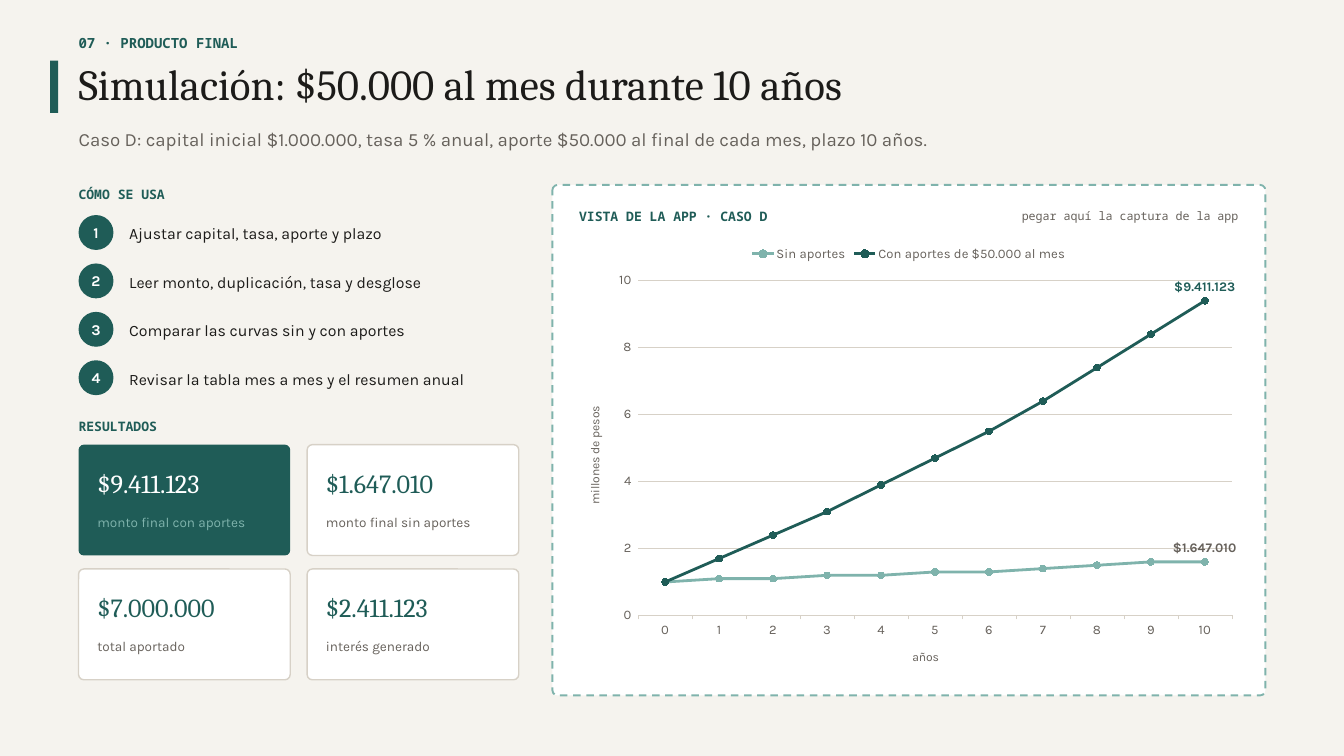
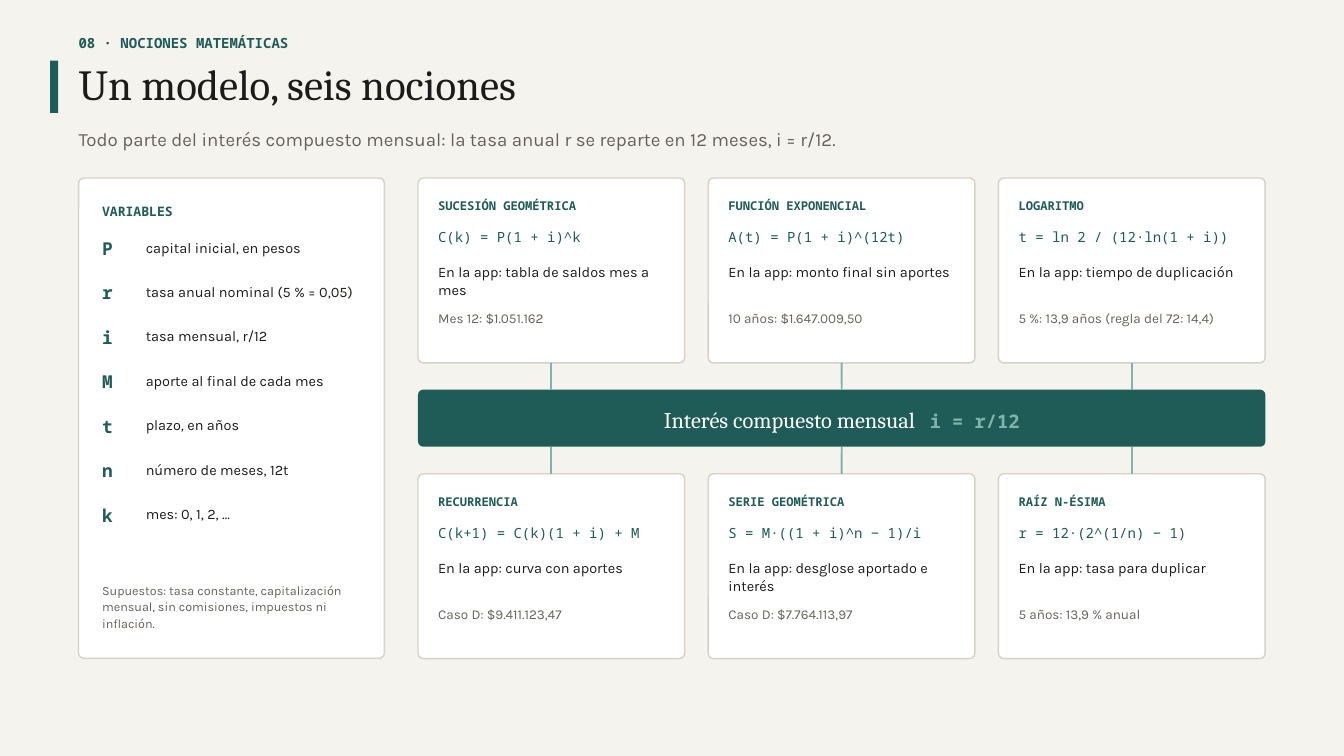
from lxml import etree
from pptx import Presentation
from pptx.chart.data import CategoryChartData
from pptx.dml.color import RGBColor
from pptx.enum.chart import (XL_CHART_TYPE, XL_LABEL_POSITION, XL_LEGEND_POSITION,
                             XL_MARKER_STYLE, XL_TICK_MARK)
from pptx.enum.dml import MSO_LINE
from pptx.enum.shapes import MSO_CONNECTOR, MSO_SHAPE
from pptx.enum.text import MSO_ANCHOR, MSO_AUTO_SIZE, PP_ALIGN
from pptx.oxml.ns import qn
from pptx.util import Cm, Pt

RECT, ROUNDED, OVAL = MSO_SHAPE.RECTANGLE, MSO_SHAPE.ROUNDED_RECTANGLE, MSO_SHAPE.OVAL
LEFT, CENTER, RIGHT = PP_ALIGN.LEFT, PP_ALIGN.CENTER, PP_ALIGN.RIGHT
TOP, MIDDLE = MSO_ANCHOR.TOP, MSO_ANCHOR.MIDDLE
SIDE_TOP, SIDE_BOTTOM = 0, 2

PAPER, WHITE, BORDER = "F5F3EE", "FFFFFF", "D7D1C7"
GREEN, MINT, INK, GRAY = "1F5C57", "7FB3AC", "1C1B19", "66615B"
SERIF, SANS, MONO = "Cambria", "Karla", "Noto Sans Mono"

MARGIN, CONTENT_WIDTH = 2.97, 44.86
CORNER = 0.2

STEPS = ["Ajustar capital, tasa, aporte y plazo",
         "Leer monto, duplicación, tasa y desglose",
         "Comparar las curvas sin y con aportes",
         "Revisar la tabla mes a mes y el resumen anual"]
RESULTS = [("$9.411.123", "monto final con aportes"),
           ("$1.647.010", "monto final sin aportes"),
           ("$7.000.000", "total aportado"),
           ("$2.411.123", "interés generado")]
# name, values in millions, line colour, end label, end label colour
CURVES = [("Sin aportes", [1, 1.1, 1.1, 1.2, 1.2, 1.3, 1.3, 1.4, 1.5, 1.6, 1.6],
           MINT, "$1.647.010", GRAY),
          ("Con aportes de $50.000 al mes",
           [1, 1.7, 2.4, 3.1, 3.9, 4.7, 5.5, 6.4, 7.4, 8.4, 9.4],
           GREEN, "$9.411.123", GREEN)]
VARIABLES = [("P", "capital inicial, en pesos"),
             ("r", "tasa anual nominal (5 % = 0,05)"),
             ("i", "tasa mensual, r/12"),
             ("M", "aporte al final de cada mes"),
             ("t", "plazo, en años"),
             ("n", "número de meses, 12t"),
             ("k", "mes: 0, 1, 2, …")]
NOTIONS = [("SUCESIÓN GEOMÉTRICA", "C(k) = P(1 + i)^k",
            "En la app: tabla de saldos mes a mes", "Mes 12: $1.051.162"),
           ("FUNCIÓN EXPONENCIAL", "A(t) = P(1 + i)^(12t)",
            "En la app: monto final sin aportes", "10 años: $1.647.009,50"),
           ("LOGARITMO", "t = ln 2 / (12·ln(1 + i))",
            "En la app: tiempo de duplicación", "5 %: 13,9 años (regla del 72: 14,4)"),
           ("RECURRENCIA", "C(k+1) = C(k)(1 + i) + M",
            "En la app: curva con aportes", "Caso D: $9.411.123,47"),
           ("SERIE GEOMÉTRICA", "S = M·((1 + i)^n − 1)/i",
            "En la app: desglose aportado e interés", "Caso D: $7.764.113,97"),
           ("RAÍZ N-ÉSIMA", "r = 12·(2^(1/n) − 1)",
            "En la app: tasa para duplicar", "5 años: 13,9 % anual")]


def color(hex_code):
    return RGBColor.from_string(hex_code)


def add_run(paragraph, text, size=15.5, font=SANS, ink=INK, bold=False):
    run = paragraph.add_run()
    run.text = text
    run.font.size, run.font.name, run.font.bold = Pt(size), font, bold
    run.font.color.rgb = color(ink)
    return run


def write(frame, text, align=LEFT, anchor=TOP, spacing=1.12, **run_format):
    """Fill a text frame without margins and return its paragraph."""
    frame.margin_left = frame.margin_top = frame.margin_right = frame.margin_bottom = 0
    frame.word_wrap = True
    frame.auto_size = MSO_AUTO_SIZE.NONE
    frame.vertical_anchor = anchor
    paragraph = frame.paragraphs[0]
    paragraph.alignment, paragraph.line_spacing = align, spacing
    add_run(paragraph, text, **run_format)
    return paragraph


def add_text(slide, text, x, y, width, height, **text_format):
    box = slide.shapes.add_textbox(Cm(x), Cm(y), Cm(width), Cm(height))
    write(box.text_frame, text, **text_format)


def add_label(slide, text, x, y, width, size=14):
    add_text(slide, text, x, y, width, 0.76, size=size, font=MONO, ink=GREEN, bold=True)


def add_block(slide, kind, x, y, width, height, fill, border=None, weight=1.5):
    block = slide.shapes.add_shape(kind, Cm(x), Cm(y), Cm(width), Cm(height))
    block.shadow.inherit = False
    block.fill.solid()
    block.fill.fore_color.rgb = color(fill)
    if border:
        block.line.color.rgb = color(border)
        block.line.width = Pt(weight)
    else:
        block.line.fill.background()
    if kind == ROUNDED:
        block.adjustments[0] = CORNER / min(width, height)
    return block


def add_link(slide, x, start, end):
    link = slide.shapes.add_connector(MSO_CONNECTOR.STRAIGHT, Cm(x), Cm(start), Cm(x), Cm(end))
    link.line.color.rgb = color(MINT)
    link.line.width = Pt(2)
    etree.SubElement(link._element.spPr, qn("a:effectLst"))
    return link


def start_slide(deck, kicker, title, subtitle):
    slide = deck.slides.add_slide(deck.slide_layouts[5])
    slide.background.fill.solid()
    slide.background.fill.fore_color.rgb = color(PAPER)
    add_label(slide, kicker, MARGIN, 1.22, 35.56, size=15)
    add_block(slide, RECT, 1.9, 2.29, 0.3, 1.98, GREEN)
    heading = slide.shapes.title
    heading.left, heading.top = Cm(MARGIN), Cm(2.18)
    heading.width, heading.height = Cm(CONTENT_WIDTH), Cm(2.16)
    write(heading.text_frame, title, spacing=1.0, size=46, font=SERIF)
    add_text(slide, subtitle, MARGIN, 4.72, CONTENT_WIDTH, 1.9, spacing=1.15, size=20, ink=GRAY)
    return slide


def add_step(slide, number, instruction, y):
    disc = add_block(slide, OVAL, MARGIN, y, 1.32, 1.32, GREEN)
    write(disc.text_frame, str(number), align=CENTER, anchor=MIDDLE, spacing=1.0,
          size=16, ink=WHITE, bold=True)
    add_text(slide, instruction, 4.88, y + 0.25, 14.99, 1.02, size=17)


def add_result(slide, amount, caption, x, y, highlighted):
    fill, border, amount_ink, caption_ink = (
        (GREEN, None, WHITE, MINT) if highlighted else (WHITE, BORDER, GREEN, GRAY))
    add_block(slide, ROUNDED, x, y, 8, 4.19, fill, border)
    add_text(slide, amount, x + 0.71, y + 0.71, 6.73, 1.52, size=28, font=SERIF, ink=amount_ink)
    add_text(slide, caption, x + 0.71, y + 2.54, 6.73, 1.02, size=14.5, ink=caption_ink)


def style_axis(axis, title):
    axis.has_title = True
    write(axis.axis_title.text_frame, title, align=CENTER, spacing=1.0, size=13, ink=GRAY)
    axis.major_tick_mark, axis.minor_tick_mark = XL_TICK_MARK.OUTSIDE, XL_TICK_MARK.NONE


def style_curve(curve, stroke, end_label, label_ink):
    curve.smooth = False
    curve.format.line.color.rgb = color(stroke)
    curve.format.line.width = Pt(3)
    curve.marker.style, curve.marker.size = XL_MARKER_STYLE.CIRCLE, 7
    curve.marker.format.fill.solid()
    curve.marker.format.fill.fore_color.rgb = color(stroke)
    curve.marker.format.line.color.rgb = color(stroke)
    label = curve.points[10].data_label
    write(label.text_frame, end_label, align=CENTER, spacing=1.0,
          size=14, ink=label_ink, bold=True)
    label.position = XL_LABEL_POSITION.ABOVE


def add_growth_chart(slide):
    data = CategoryChartData()
    data.categories = [str(year) for year in range(11)]
    for name, millions, *_ in CURVES:
        data.add_series(name, millions)
    chart = slide.shapes.add_chart(XL_CHART_TYPE.LINE_MARKERS, Cm(21.64), Cm(9.02),
                                   Cm(25.43), Cm(16.64), data).chart
    chart.font.size, chart.font.name = Pt(14), SANS
    chart.font.color.rgb = color(GRAY)
    chart.has_title = False
    chart.has_legend = True
    chart.legend.position = XL_LEGEND_POSITION.TOP
    chart.legend.include_in_layout = False
    chart.legend.font.size = Pt(14)

    years, pesos = chart.category_axis, chart.value_axis
    style_axis(years, "años")
    years.format.line.color.rgb = color(BORDER)
    years.format.line.width = Pt(0.75)
    style_axis(pesos, "millones de pesos")
    pesos.axis_title.text_frame._txBody.bodyPr.set("rot", "-5400000")
    pesos.minimum_scale, pesos.maximum_scale, pesos.major_unit = 0, 10, 2
    pesos.format.line.fill.background()
    pesos.major_gridlines.format.line.color.rgb = color(BORDER)
    pesos.major_gridlines.format.line.width = Pt(0.75)
    pesos.tick_labels.number_format = "0"
    pesos.tick_labels.number_format_is_linked = False

    chart.plots[0].vary_by_categories = False
    for curve, (_, _, stroke, end_label, label_ink) in zip(chart.plots[0].series, CURVES):
        style_curve(curve, stroke, end_label, label_ink)


def build_simulation(deck):
    slide = start_slide(
        deck, "07 · PRODUCTO FINAL", "Simulación: $50.000 al mes durante 10 años",
        "Caso D: capital inicial $1.000.000, tasa 5 % anual, "
        "aporte $50.000 al final de cada mes, plazo 10 años.")
    add_label(slide, "CÓMO SE USA", MARGIN, 6.99, 16.51)
    for index, instruction in enumerate(STEPS):
        add_step(slide, index + 1, instruction, 8.13 + 1.83 * index)

    add_label(slide, "RESULTADOS", MARGIN, 15.75, 16.51)
    for index, (amount, caption) in enumerate(RESULTS):
        row, column = divmod(index, 2)
        add_result(slide, amount, caption, MARGIN + 8.64 * column, 16.81 + 4.7 * row,
                   highlighted=index == 0)

    panel = add_block(slide, ROUNDED, 20.88, 6.99, 26.95, 19.3, WHITE, MINT, weight=2)
    panel.line.dash_style = MSO_LINE.DASH
    add_label(slide, "VISTA DE LA APP · CASO D", 21.89, 7.8, 12.7)
    add_text(slide, "pegar aquí la captura de la app", 34.11, 7.85, 12.7, 0.76,
             align=RIGHT, size=12.5, font=MONO, ink=GRAY)
    add_growth_chart(slide)


def add_variables(slide):
    add_block(slide, ROUNDED, MARGIN, 6.73, 11.56, 18.16, WHITE, BORDER)
    add_label(slide, "VARIABLES", 3.86, 7.62, 9.78)
    for index, (symbol, meaning) in enumerate(VARIABLES):
        y = 8.89 + 1.68 * index
        add_text(slide, symbol, 3.86, y, 1.52, 1.02, size=19, font=MONO, ink=GREEN, bold=True)
        add_text(slide, meaning, 5.51, y + 0.1, 8.26, 1.52, spacing=1.05)
    add_text(slide, "Supuestos: tasa constante, capitalización mensual, "
             "sin comisiones, impuestos ni inflación.",
             3.86, 21.97, 9.78, 2.29, spacing=1.1, size=13.5, ink=GRAY)


def add_notion(slide, name, formula, use, example, x, y):
    card = add_block(slide, ROUNDED, x, y, 10.08, 6.99, WHITE, BORDER)
    inner_x, inner_width = x + 0.76, 8.56
    add_label(slide, name, inner_x, y + 0.71, inner_width, size=13)
    add_text(slide, formula, inner_x, y + 1.83, inner_width, 1.02, size=15, font=MONO, ink=GREEN)
    add_text(slide, use, inner_x, y + 3.18, inner_width, 1.65, spacing=1.05)
    add_text(slide, example, inner_x, y + 4.95, inner_width, 1.65,
             spacing=1.05, size=14.5, ink=GRAY)
    return card


def add_core_band(slide, x, y, width, height):
    band = add_block(slide, ROUNDED, x, y, width, height, GREEN)
    core = write(band.text_frame, "Interés compuesto mensual", align=CENTER, anchor=MIDDLE,
                 size=24, font=SERIF, ink=WHITE)
    gap = add_run(core, " ", size=24, font=SERIF, ink=WHITE)
    gap._r.get_or_add_rPr().set("spc", "1060")
    add_run(core, "i = r/12", size=20, font=MONO, ink=MINT, bold=True)
    return band


def build_notions(deck):
    slide = start_slide(
        deck, "08 · NOCIONES MATEMÁTICAS", "Un modelo, seis nociones",
        "Todo parte del interés compuesto mensual: "
        "la tasa anual r se reparte en 12 meses, i = r/12.")
    add_variables(slide)
    grid_x, band_y, band_height = 15.8, 14.73, 2.16
    band = add_core_band(slide, grid_x, band_y, 32.03, band_height)
    # card top, linked card edge, linked band edge, card side, band side
    rows = [(6.73, 13.72, band_y, SIDE_BOTTOM, SIDE_TOP),
            (17.91, 17.91, band_y + band_height, SIDE_TOP, SIDE_BOTTOM)]
    for index, notion in enumerate(NOTIONS):
        row, column = divmod(index, 3)
        card_y, card_edge, band_edge, card_side, band_side = rows[row]
        x = grid_x + 10.97 * column
        card = add_notion(slide, *notion, x, card_y)
        link = add_link(slide, x + 5.04, card_edge, band_edge)
        link.begin_connect(card, card_side)
        if column == 1:
            link.end_connect(band, band_side)


def main():
    deck = Presentation()
    deck.slide_width, deck.slide_height = Cm(50.8), Cm(28.58)
    build_simulation(deck)
    build_notions(deck)
    deck.save("out.pptx")


if __name__ == "__main__":
    main()
